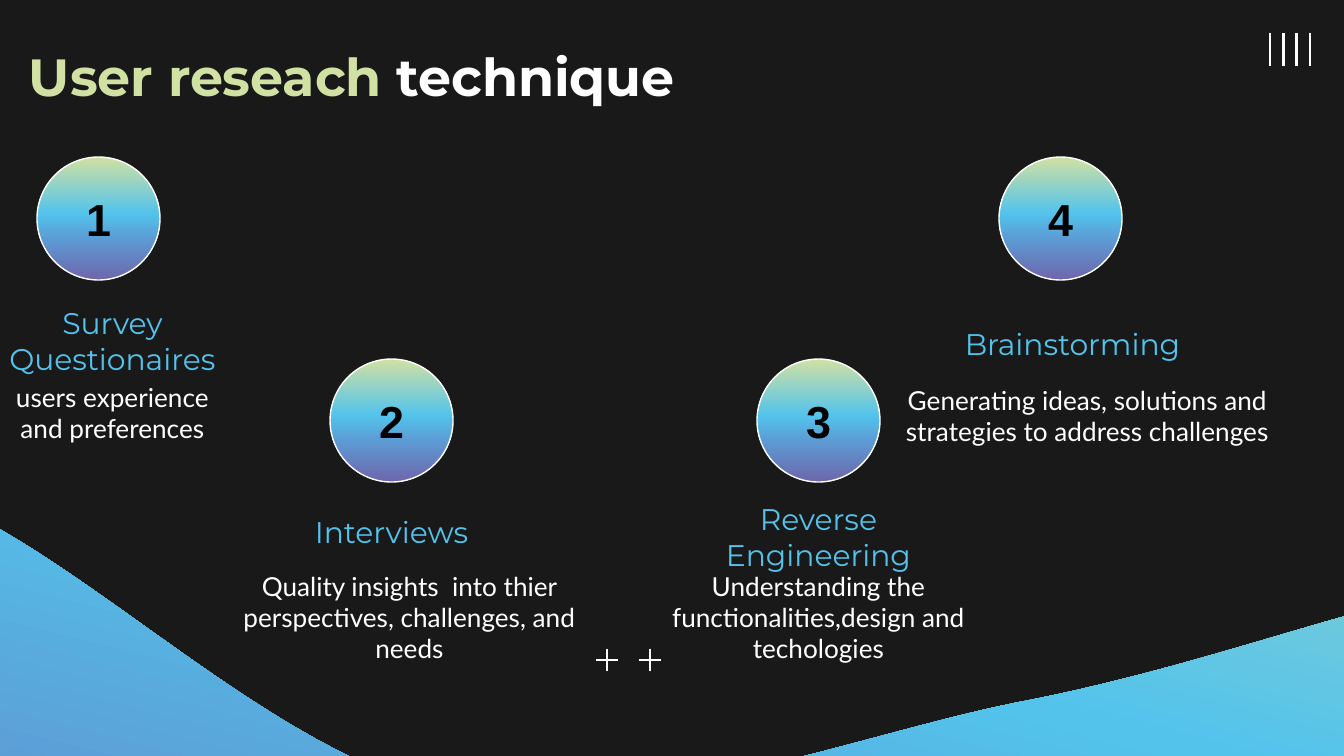
import copy
import math

import pptx
import pptx.dml.color
import pptx.enum.shapes
import pptx.enum.text
import pptx.oxml
import pptx.oxml.ns
import pptx.util

PX = 914400 / 134.4  # EMU per px
WIDTH, HEIGHT = 1344, 756

DARK, WHITE, BLACK, GREEN, BLUE = "191919", "FFFFFF", "000000", "D0E1A3", "53C3EC"
GRADIENT = [(0, GREEN), (0.46, BLUE), (0.66, "5C9CD5"), (1, "6E66AB")]

TITLE = [("User reseach ", GREEN), ("technique", WHITE)]
TITLE_BOX = (16, 31, 1274, 90)

# heading, description, circle corner, heading box, description box
TECHNIQUES = [
    ("Survey Questionaires", "users experience and preferences",
     (37, 157), (-13, 291, 251, 99), (-13, 368, 251, 122)),
    ("Interviews", "Quality insights  into thier perspectives, challenges, and needs",
     (330, 359), (251, 500, 281, 63), (208, 557, 403, 122)),
    ("Reverse Engineering", "Understanding the functionalities,design and techologies",
     (757, 359), (693, 487, 251, 99), (617, 557, 403, 122)),
    ("Brainstorming", "Generating ideas, solutions and strategies to address challenges",
     (999, 157), (932, 312, 281, 63), (886, 371, 403, 122)),
]
DIAMETER = 123

BAR_LEFT, BAR_RIGHT, BAR_TOP, BAR_BOTTOM, BAR_COUNT = 1270, 1310, 33, 66, 4
PLUS_CENTERS, PLUS_ARM = [(607, 660), (650, 660)], 11

WAVE_BOX, WAVE_TILT = (-464, 344, 2117, 633), 14.5
WAVE_START = (-500, 694)
# each Bezier curve: two control points and an end point
WAVE_CURVES = [
    ((-536, 641), (-281, 466), (-124, 482)),
    ((34, 499), (253, 753), (444, 789)),
    ((634, 825), (857, 734), (1020, 702)),
    ((1181, 671), (1322, 618), (1414, 599)),
    ((1505, 581), (1540, 573), (1570, 587)),
    ((1601, 601), (1611, 590), (1597, 684)),
    ((1582, 780), (1669, 1117), (1480, 1156)),
    ((1290, 1195), (689, 978), (458, 919)),
    ((228, 860), (257, 836), (97, 798)),
    ((-63, 761), (-462, 746), (-500, 694)),
]


def emu(*lengths):
    return [round(v * PX) for v in lengths]


def rgb(color):
    return pptx.dml.color.RGBColor.from_string(color)


def fill_gradient(shape):
    """Fill from top to bottom with the four theme colours."""
    shape.fill.gradient()
    shape.fill.gradient_angle = 270
    stop_list = shape._element.spPr.find(".//" + pptx.oxml.ns.qn("a:gsLst"))
    while len(stop_list) < len(GRADIENT):
        stop_list.append(copy.deepcopy(stop_list[0]))
    for stop, (position, color) in zip(shape.fill.gradient_stops, GRADIENT):
        stop.position = position
        stop.color.rgb = rgb(color)


def set_font(p, name, size, color=None, bold=False):
    p.font.name, p.font.size, p.font.bold = name, pptx.util.Pt(size), bold
    if color:
        p.font.color.rgb = rgb(color)


def set_frame(tf, anchor):
    tf.word_wrap = True
    tf.auto_size = pptx.enum.text.MSO_AUTO_SIZE.NONE
    tf.vertical_anchor = anchor
    tf.margin_left, tf.margin_top, tf.margin_right, tf.margin_bottom = emu(13, 13, 13, 13)


def write_centered(s, text, anchor, *font):
    set_frame(s.text_frame, anchor)
    p = s.text_frame.paragraphs[0]
    p.text = text
    p.alignment = pptx.enum.text.PP_ALIGN.CENTER
    set_font(p, *font)


def add_line(shapes, x1, y1, x2, y2):
    line = shapes.add_connector(pptx.enum.shapes.MSO_CONNECTOR.STRAIGHT, *emu(x1, y1, x2, y2))
    line.line.color.rgb = rgb(WHITE)
    line.line.width = pptx.util.Pt(1.5)
    line._element.spPr.append(pptx.oxml.parse_xml(
        f"<a:effectLst {pptx.oxml.ns.nsdecls('a')}/>"))


def add_wave(shapes):
    """Build the untilted box, give it the curved outline, then tilt outline and gradient."""
    left, top, width, height = WAVE_BOX
    cx, cy = width / 2, height / 2
    cos, sin = math.cos(math.radians(WAVE_TILT)), math.sin(math.radians(WAVE_TILT))

    def point_xml(point):
        dx, dy = point[0] - left - cx, point[1] - top - cy
        x, y = emu(cx + dx * cos + dy * sin, cy - dx * sin + dy * cos)
        return f'<a:pt x="{x}" y="{y}"/>'

    x1, y1, x2, y2 = emu(left, top, left + width, top + height)
    builder = shapes.build_freeform(x1, y1)
    builder.add_line_segments([(x2, y1), (x2, y2), (x1, y2)], close=True)
    wave = builder.convert_to_shape()

    outline = wave._element.spPr.find(".//" + pptx.oxml.ns.qn("a:path"))
    for step in list(outline):
        outline.remove(step)
    steps = [("moveTo", [WAVE_START])]
    steps += [("cubicBezTo", curve) for curve in WAVE_CURVES]
    steps.append(("close", []))
    for tag, points in steps:
        outline.append(pptx.oxml.parse_xml(
            f"<a:{tag} {pptx.oxml.ns.nsdecls('a')}>{''.join(map(point_xml, points))}</a:{tag}>"))

    wave.rotation = WAVE_TILT
    wave.shadow.inherit = False
    wave.line.fill.background()
    fill_gradient(wave)


def add_title(title):
    title.left, title.top, title.width, title.height = emu(*TITLE_BOX)
    set_frame(title.text_frame, pptx.enum.text.MSO_ANCHOR.TOP)
    p = title.text_frame.paragraphs[0]
    p.alignment = pptx.enum.text.PP_ALIGN.LEFT
    set_font(p, "Montserrat", 28, bold=True)
    for text, color in TITLE:
        r = p.add_run()
        r.text = text
        r.font.color.rgb = rgb(color)


def add_technique(shapes, number, heading, description, corner, heading_box, description_box):
    top, middle = pptx.enum.text.MSO_ANCHOR.TOP, pptx.enum.text.MSO_ANCHOR.MIDDLE
    circle = shapes.add_shape(pptx.enum.shapes.MSO_SHAPE.OVAL,
                              *emu(*corner, DIAMETER, DIAMETER))
    circle.shadow.inherit = False
    fill_gradient(circle)
    circle.line.color.rgb = rgb(WHITE)
    circle.line.width = pptx.util.Pt(0.75)
    write_centered(circle, str(number), middle, "Arial", 24, BLACK, True)
    write_centered(shapes.add_textbox(*emu(*heading_box)), heading, middle,
                   "Montserrat", 16, BLUE)
    write_centered(shapes.add_textbox(*emu(*description_box)), description, top,
                   "Lato", 14, WHITE)


def main():
    prs = pptx.Presentation()
    prs.slide_width, prs.slide_height = emu(WIDTH, HEIGHT)
    slide = prs.slides.add_slide(prs.slide_layouts[5])
    slide.background.fill.solid()
    slide.background.fill.fore_color.rgb = rgb(DARK)
    shapes = slide.shapes

    add_title(shapes.title)
    add_wave(shapes)
    pluses = shapes.add_group_shape().shapes
    for x, y in PLUS_CENTERS:
        add_line(pluses, x - PLUS_ARM, y, x + PLUS_ARM, y)
        add_line(pluses, x, y - PLUS_ARM, x, y + PLUS_ARM)
    bars = shapes.add_group_shape().shapes
    for i in range(BAR_COUNT):
        x = BAR_LEFT + i * (BAR_RIGHT - BAR_LEFT) / (BAR_COUNT - 1)
        add_line(bars, x, BAR_TOP, x, BAR_BOTTOM)
    for number, technique in enumerate(TECHNIQUES, 1):
        add_technique(shapes, number, *technique)

    prs.save("out.pptx")


if __name__ == "__main__":
    main()
